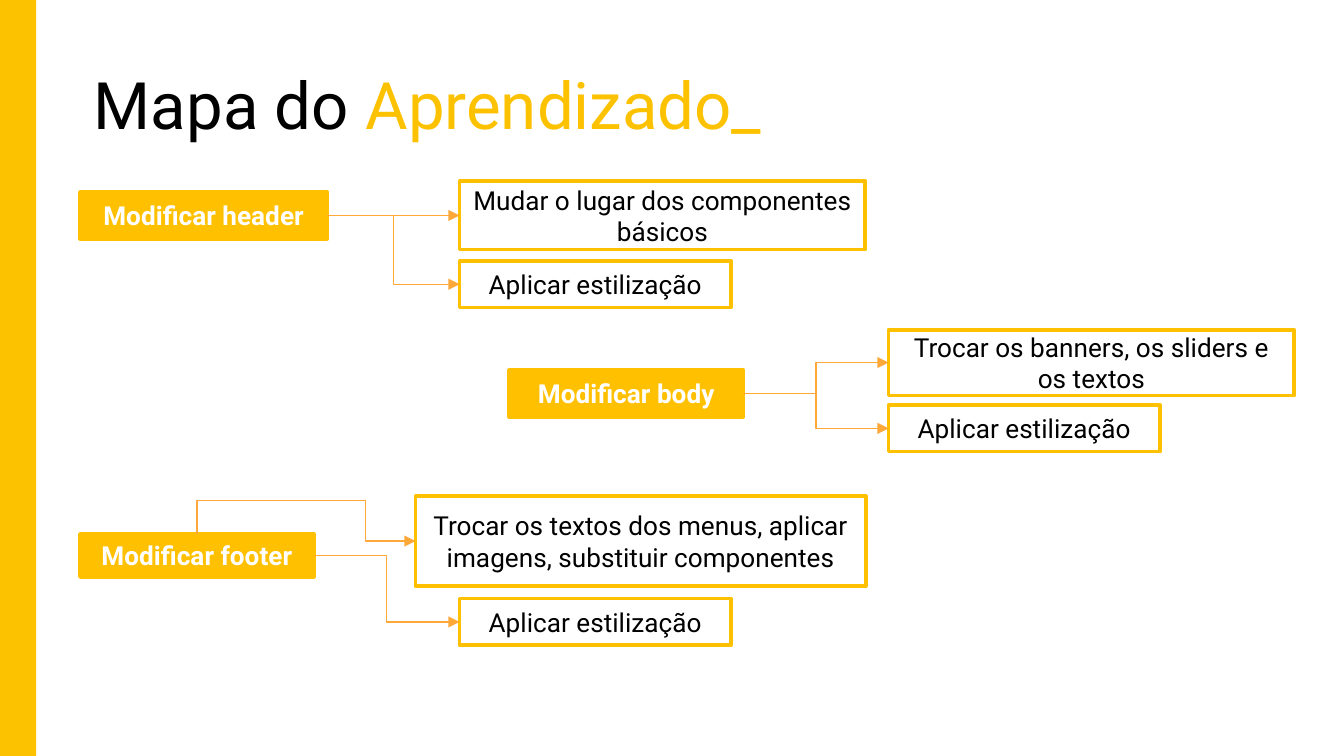
"""Builds the learning map slide: three tasks, each linked to its steps."""
from lxml import etree
from pptx import Presentation
from pptx.dml.color import RGBColor
from pptx.enum.shapes import MSO_CONNECTOR, MSO_SHAPE
from pptx.enum.text import MSO_ANCHOR, PP_ALIGN
from pptx.oxml.ns import qn
from pptx.util import Pt

RECTANGLE = MSO_SHAPE.RECTANGLE
ELBOW = MSO_CONNECTOR.ELBOW
CENTER = PP_ALIGN.CENTER
MIDDLE = MSO_ANCHOR.MIDDLE
TOP, LEFT, RIGHT = 0, 1, 3


def color(value):
    return RGBColor.from_string(value)


class LearningMap:
    font = "Roboto"
    accent, border, arrow = "FCC200", "FFC000", "FEA83A"
    black, white = "000000", "FFFFFF"

    def __init__(self, slide):
        self.slide = slide

    def rectangle(self, left, top, width, height, fill=None):
        shape = self.slide.shapes.add_shape(
            RECTANGLE, Pt(left), Pt(top), Pt(width), Pt(height))
        shape.shadow.inherit = False
        if fill:
            shape.fill.solid()
            shape.fill.fore_color.rgb = color(fill)
        else:
            shape.fill.background()
        return shape

    def side_bar(self, width, height):
        self.rectangle(0, 0, width, height, self.accent).line.fill.background()

    def title(self, left, top, width, height, parts):
        shape = self.slide.shapes.add_textbox(Pt(left), Pt(top), Pt(width), Pt(height))
        frame = shape.text_frame
        frame.word_wrap = True
        frame.margin_top = frame.margin_bottom = Pt(7.2)
        paragraph = frame.paragraphs[0]
        paragraph.font.size = Pt(35)
        paragraph.font.name = self.font
        for text, text_color in parts:
            run = paragraph.add_run()
            run.text = text
            run.font.color.rgb = color(text_color)

    def box(self, text, left, top, width, height, fill=None, text_color=black, bold=False):
        shape = self.rectangle(left, top, width, height, fill)
        shape.line.color.rgb = color(self.border)
        shape.line.width = Pt(2)
        frame = shape.text_frame
        frame.word_wrap = True
        frame.vertical_anchor = MIDDLE
        paragraph = frame.paragraphs[0]
        paragraph.text = text
        paragraph.alignment = CENTER
        paragraph.font.name = self.font
        paragraph.font.size = Pt(14)
        paragraph.font.bold = bold
        paragraph.font.color.rgb = color(text_color)
        return shape

    def task(self, text, left, top, width, height):
        return self.box(text, left, top, width, height, self.border, self.white, True)

    def link(self, source, target, side=RIGHT):
        connector = self.slide.shapes.add_connector(ELBOW, 0, 0, 0, 0)
        connector.begin_connect(source, side)
        connector.end_connect(target, LEFT)
        connector.line.color.rgb = color(self.arrow)
        connector.line.width = Pt(0.75)
        properties = connector._element.spPr
        line = properties.find(qn("a:ln"))
        etree.SubElement(line, qn("a:tailEnd"), type="triangle")
        etree.SubElement(properties, qn("a:effectLst"))
        return connector

    def link_over(self, source, target, rise, turn):
        """Link the top of source to target, going up by rise and down at turn."""
        connector = self.link(source, target, TOP)
        across, down = connector.width, connector.height
        connector.left += (across - down) // 2
        connector.top += (down - across) // 2
        connector.width, connector.height = down, across
        properties = connector._element.spPr
        frame = properties.find(qn("a:xfrm"))
        frame.set("rot", str(270 * 60000))
        frame.set("flipH", "1")
        geometry = properties.find(qn("a:prstGeom"))
        geometry.set("prst", "bentConnector4")
        guides = geometry.find(qn("a:avLst"))
        for name, ratio in (("adj1", -Pt(rise) / down), ("adj2", turn)):
            etree.SubElement(guides, qn("a:gd"), name=name,
                             fmla=f"val {round(ratio * 100000)}")


def main():
    presentation = Presentation()
    presentation.slide_width, presentation.slide_height = Pt(720), Pt(405)
    slide = presentation.slides.add_slide(presentation.slide_layouts[6])
    page = LearningMap(slide)
    style = "Aplicar estilização"

    page.side_bar(19.4, 405)
    page.title(43.2, 27.4, 423.4, 66.2,
               [("Mapa do ", page.black), ("Aprendizado_", page.accent)])

    header = page.task("Modificar header", 42.9, 102.9, 132.5, 25)
    body = page.task("Modificar body", 272.9, 198.3, 125.3, 25)
    footer = page.task("Modificar footer", 42.9, 286.1, 125.3, 23)

    layout = page.box("Mudar o lugar dos componentes básicos", 246.2, 97.1, 217.4, 36.6)
    header_style = page.box(style, 246.2, 139.8, 145.4, 25)
    banners = page.box("Trocar os banners, os sliders e os textos",
                       476, 176.7, 217.4, 35.2, page.white)
    body_style = page.box(style, 476, 217, 145.4, 25, page.white)
    menus = page.box("Trocar os textos dos menus, aplicar imagens, substituir componentes",
                     222.6, 265.8, 241.2, 48.2)
    footer_style = page.box(style, 246.2, 320.7, 145.4, 25)

    for source, target in ((header, layout), (header, header_style),
                           (body, banners), (body, body_style),
                           (footer, footer_style)):
        page.link(source, target)
    page.link_over(footer, menus, 18, 0.77)
    presentation.save("out.pptx")


if __name__ == "__main__":
    main()
